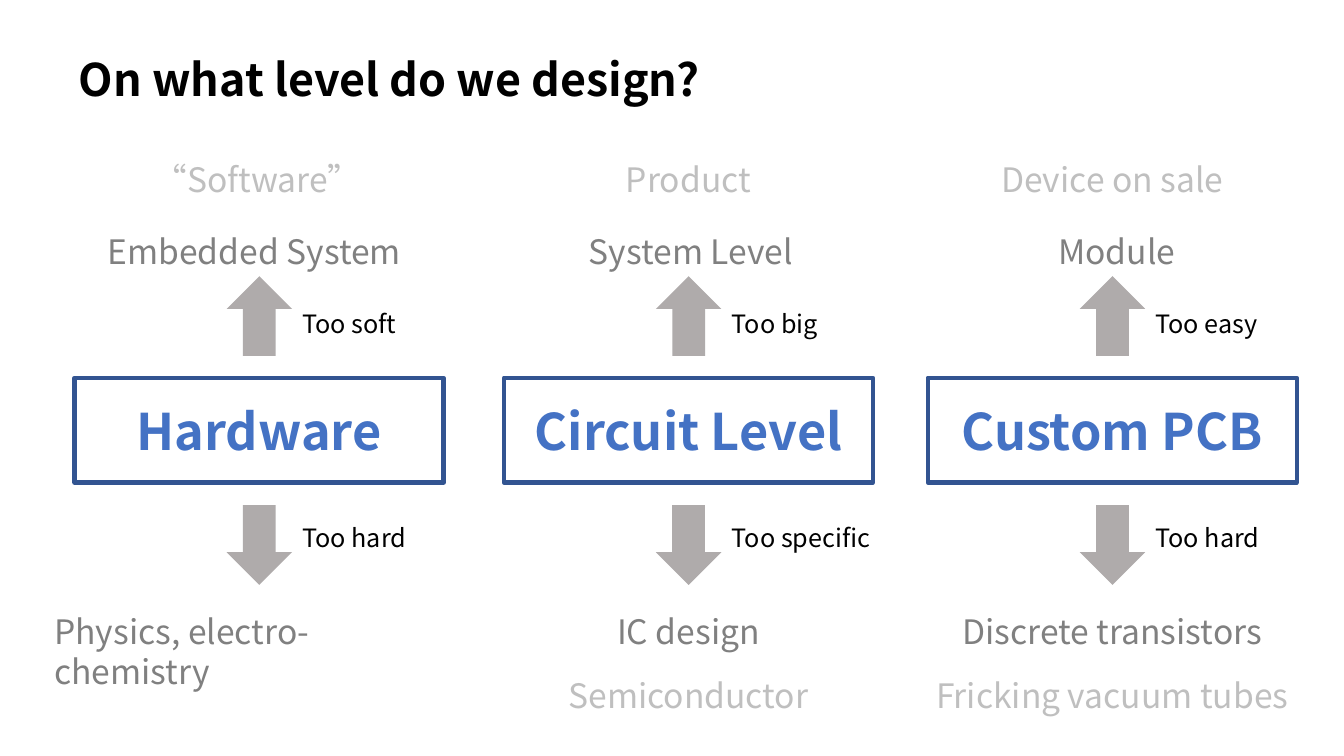
from pptx import Presentation
from pptx.dml.color import RGBColor
from pptx.enum.shapes import MSO_SHAPE
from pptx.enum.text import MSO_ANCHOR, MSO_AUTO_SIZE, PP_ALIGN
from pptx.oxml.ns import qn
from pptx.util import Cm, Pt

FONT = "Noto Sans CJK SC"
HUES = {"black": "000000", "near": "808080", "far": "BFBFBF",
        "arrow": "AFABAB", "edge": "325491", "level": "4472C4"}
LEFT, MID, RIGHT = PP_ALIGN.LEFT, PP_ALIGN.CENTER, PP_ALIGN.RIGHT

# Top of each row of words, in cm, and its colour
ROWS = [(3.89, "far"), (5.69, "near"), (15.27, "near"), (16.87, "far")]

# Centre of the column, level, words by row (text, width, alignment),
# then the label and its width beside the upper and lower arrow
COLS = [
    (6.53, "Hardware",
     [("“Software”", 5.82, LEFT), ("Embedded System", 8.13, LEFT),
      ("Physics, electro-chemistry", 10.82, LEFT)],
     [("Too soft", 3), ("Too hard", 3.23)]),
    (17.35, "Circuit Level",
     [("Product", 3.71, MID), ("System Level", 5.77, RIGHT),
      ("IC design", 4.32, MID), ("Semiconductor", 6.71, MID)],
     [("Too big", 2.82), ("Too specific", 4.09)]),
    (28.03, "Custom PCB",
     [("Device on sale", 6.4, MID), ("Module", 3.68, RIGHT),
      ("Discrete transistors", 8.41, MID),
      ("Fricking vacuum tubes", 9.68, MID)],
     [("Too easy", 3.18), ("Too hard", 3.23)]),
]


def color(name):
    return RGBColor.from_string(HUES[name])


def write(shape, text, size, hue, align, bold=False):
    frame = shape.text_frame
    frame.text = text
    para = frame.paragraphs[0]
    para.alignment = align
    run = para.runs[0]
    font = run.font
    font.name, font.size, font.bold = FONT, Pt(size), bold
    font.color.rgb = color(hue)
    # The curly quotes take the East Asian face
    east = font._element.makeelement(qn("a:ea"), {"typeface": FONT})
    font._element.find(qn("a:latin")).addnext(east)


def fit(frame):
    """Keep the text on one line in a box that fits it."""
    frame.word_wrap = False
    frame.auto_size = MSO_AUTO_SIZE.SHAPE_TO_FIT_TEXT


def head(slide, text):
    title = slide.shapes.title
    title.left, title.top = Cm(1.73), Cm(1.17)
    title.width, title.height = Cm(16.87), Cm(1.63)
    write(title, text, 32, "black", LEFT, bold=True)
    title.text_frame.vertical_anchor = MSO_ANCHOR.TOP
    fit(title.text_frame)


def label(slide, text, left, top, width, size, hue, align=LEFT):
    high = 1.27 if size == 24 else 1.02
    box = slide.shapes.add_textbox(Cm(left), Cm(top), Cm(width), Cm(high))
    write(box, text, size, hue, align)
    fit(box.text_frame)


def arrow(slide, mid, top, turn):
    shape = slide.shapes.add_shape(
        MSO_SHAPE.DOWN_ARROW, Cm(mid - 0.82), Cm(top), Cm(1.65), Cm(2.01))
    shape.rotation = turn
    shape.shadow.inherit = False
    shape.fill.solid()
    shape.fill.fore_color.rgb = color("arrow")
    shape.line.fill.background()


def level(slide, mid, text):
    wide = 9.3
    box = slide.shapes.add_shape(
        MSO_SHAPE.RECTANGLE, Cm(mid - wide / 2), Cm(9.52), Cm(wide), Cm(2.64))
    box.shadow.inherit = False
    box.fill.background()
    box.line.color.rgb = color("edge")
    box.line.width = Pt(3)
    box.text_frame.vertical_anchor = MSO_ANCHOR.MIDDLE
    write(box, text, 36, "level", MID, bold=True)


def column(slide, mid, name, words, notes):
    for (text, wide, align), (top, hue) in zip(words, ROWS):
        label(slide, text, mid - wide / 2, top, wide, 24, hue, align)
    places = [(6.96, 7.65, 180), (12.73, 13.03, 0)]
    for (text, wide), (top, base, turn) in zip(notes, places):
        arrow(slide, mid, top, turn)
        label(slide, text, mid + 0.84, base, wide, 18, "black")
    level(slide, mid, name)


def main():
    deck = Presentation()
    deck.slide_width, deck.slide_height = Cm(33.87), Cm(19.05)
    slide = deck.slides.add_slide(deck.slide_layouts[5])
    head(slide, "On what level do we design?")
    for col in COLS:
        column(slide, *col)
    deck.save("out.pptx")


if __name__ == "__main__":
    main()
